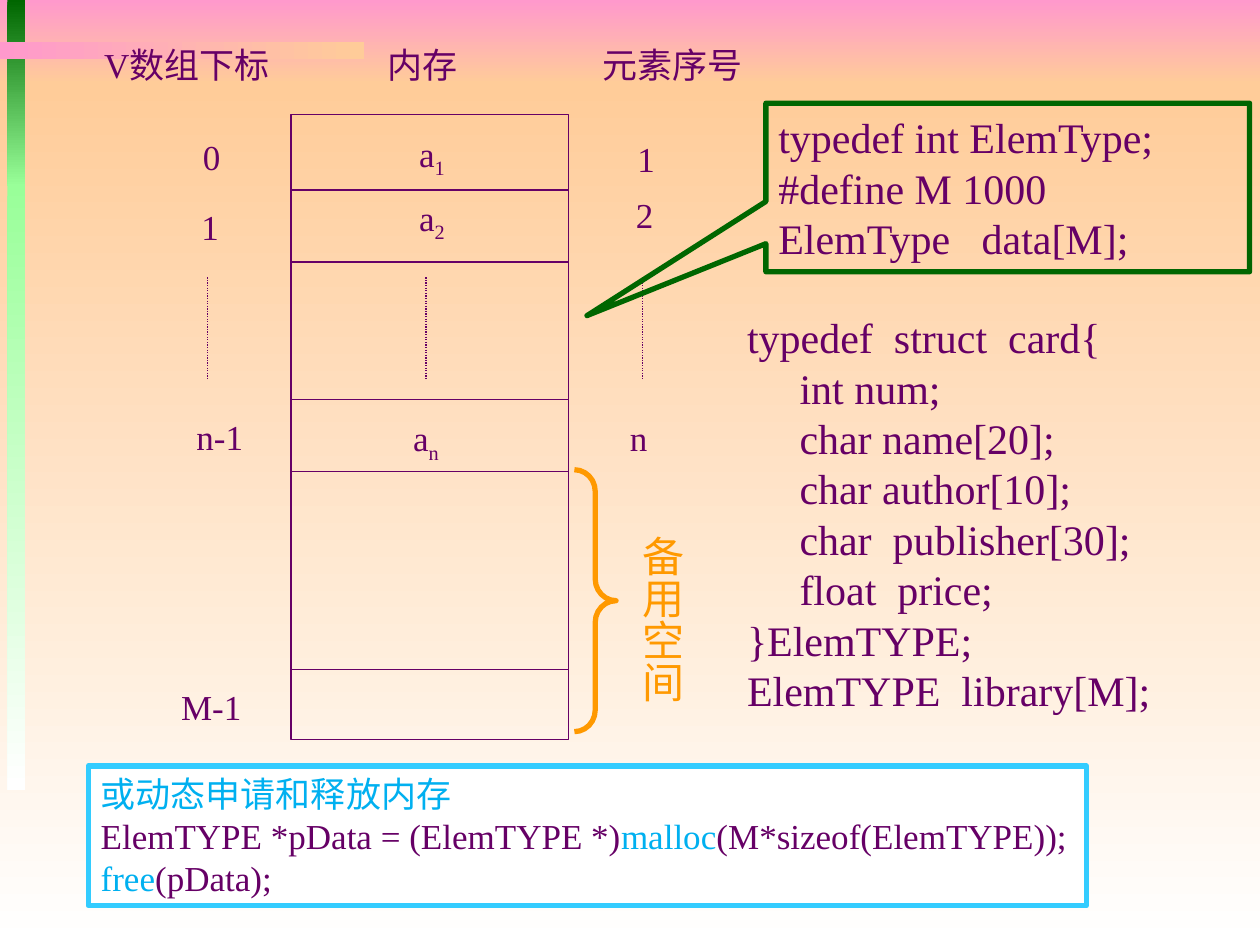
from lxml import etree
from pptx import Presentation
from pptx.dml.color import RGBColor
from pptx.enum.dml import MSO_LINE
from pptx.enum.shapes import MSO_CONNECTOR, MSO_SHAPE
from pptx.enum.text import MSO_ANCHOR, MSO_AUTO_SIZE, PP_ALIGN
from pptx.oxml.ns import qn
from pptx.util import Cm, Pt

PINK = RGBColor(0xFF, 0x99, 0xCC)
PEACH = RGBColor(0xFF, 0xCC, 0x99)
WHITE = RGBColor(0xFF, 0xFF, 0xFF)
DARK_GREEN = RGBColor(0x00, 0x66, 0x00)
LIGHT_GREEN = RGBColor(0x99, 0xFF, 0x99)
PURPLE = RGBColor(0x66, 0x00, 0x66)
ORANGE = RGBColor(0xFF, 0x99, 0x00)
SKY = RGBColor(0x33, 0xCC, 0xFF)
BLUE = RGBColor(0x00, 0xB0, 0xF0)

RECTANGLE = MSO_SHAPE.RECTANGLE
CALLOUT = MSO_SHAPE.RECTANGULAR_CALLOUT
BRACE = MSO_SHAPE.RIGHT_BRACE
STRAIGHT = MSO_CONNECTOR.STRAIGHT
DOTTED = MSO_LINE.ROUND_DOT
MIDDLE = MSO_ANCHOR.MIDDLE
GROW = MSO_AUTO_SIZE.SHAPE_TO_FIT_TEXT
LEFT = PP_ALIGN.LEFT

FONT = "Times New Roman"
DOWN, RIGHTWARD = 270, 0


def add_outline(page, kind, box, color, weight):
    shape = page.shapes.add_shape(kind, *map(Cm, box))
    shape.shadow.inherit = False
    shape.fill.background()
    shape.line.color.rgb = color
    shape.line.width = Pt(weight)
    return shape


def add_gradient(page, box, start, end, angle):
    shape = page.shapes.add_shape(RECTANGLE, *map(Cm, box))
    shape.shadow.inherit = False
    shape.line.fill.background()
    shape.fill.gradient()
    shape.fill.gradient_angle = angle
    for stop, color in zip(shape.fill.gradient_stops, (start, end)):
        stop.color.rgb = color


def add_line(page, x1, y1, x2, y2, dash=None):
    line = page.shapes.add_connector(STRAIGHT, Cm(x1), Cm(y1), Cm(x2), Cm(y2))
    line.line.color.rgb = PURPLE
    line.line.width = Pt(0.75)
    if dash:
        line.line.dash_style = dash
    etree.SubElement(line._element.spPr, qn("a:effectLst"))


def format_para(para, size, color):
    para.alignment = LEFT
    para.font.name = FONT
    para.font.size = Pt(size)
    para.font.color.rgb = color


def write_lines(frame, lines, size, color, wrap):
    frame.word_wrap = wrap
    frame.auto_size = GROW
    for index, line in enumerate(lines):
        para = frame.paragraphs[0] if index == 0 else frame.add_paragraph()
        para.text = line
        format_para(para, size, color)


def add_label(page, box, text, subscript="", wrap=False):
    frame = page.shapes.add_textbox(*map(Cm, box)).text_frame
    write_lines(frame, [text], 20, PURPLE, wrap)
    if subscript:
        span = frame.paragraphs[0].add_run()
        span.text = subscript
        span._r.get_or_add_rPr().set("baseline", "-25000")


def add_backdrop(page, box):
    left, top, width, height = box
    band = 1.7
    add_gradient(page, (left, top, width, band), PINK, PEACH, DOWN)
    add_gradient(page, (left, top + band, width, height - band), PEACH, WHITE, DOWN)
    add_gradient(page, (left + 0.15, top, 0.36, 3.76), DARK_GREEN, LIGHT_GREEN, DOWN)
    add_gradient(page, (left + 0.15, top + 3.71, 0.36, 12.22), LIGHT_GREEN, WHITE, DOWN)
    add_gradient(page, (left, top + 0.84, 7.34, 0.36), PINK, PEACH, RIGHTWARD)


def add_memory(page, box):
    left, top, width, height = box
    add_outline(page, RECTANGLE, box, PURPLE, 0.75)
    for offset in (1.52, 2.97, 5.74, 7.19, 11.18):
        add_line(page, left, top + offset, left + width, top + offset)
    for offset in (-1.68, 2.72, 7.08):
        add_line(page, left + offset, top + 3.28, left + offset, top + 5.34, DOTTED)
    headings = (("V数组下标", -4.02, 3.84, True), ("内存", 1.7, 1.93, False),
                ("元素序号", 6.02, 3.33, False))
    for text, offset, span_width, wrap in headings:
        add_label(page, (left + offset, top - 1.55, span_width, 1.09), text, wrap=wrap)
    labels = (
        ("0", "", -2.03, 0.3, 0.86), ("1", "", -2.06, 1.7, 0.86),
        ("n-1", "", -2.16, 5.94, 1.45), ("M-1", "", -2.47, 11.38, 1.73),
        ("a", "1", 2.33, 0.23, 1.07), ("a", "2", 2.33, 1.52, 1.07),
        ("a", "n", 2.21, 5.97, 1.07),
        ("1", "", 6.73, 0.33, 0.86), ("2", "", 6.7, 1.47, 0.86),
        ("n", "", 6.58, 5.97, 0.86),
    )
    for text, subscript, x, y, span_width in labels:
        add_label(page, (left + x, top + y, span_width, 1.09), text, subscript)


def add_spare_space(page, box):
    left, top, width, height = box
    brace = add_outline(page, BRACE, (left, top, 0.84, height), ORANGE, 3)
    brace.adjustments[0] = 0.52
    label = page.shapes.add_textbox(
        Cm(left + 0.86), Cm(top + 1.07), Cm(width - 0.86), Cm(3.94))
    write_lines(label.text_frame, ["备用空间"], 24, ORANGE, True)
    label.text_frame._txBody.bodyPr.set("vert", "eaVert")


def add_declaration(page, box):
    callout = add_outline(page, CALLOUT, box, DARK_GREEN, 3)
    callout.adjustments[0] = -0.87
    callout.adjustments[1] = 0.76
    callout.text_frame.vertical_anchor = MIDDLE
    lines = ["typedef int ElemType; #define M 1000", "ElemType   data[M];"]
    write_lines(callout.text_frame, lines, 24, PURPLE, True)


def add_struct_code(page, box):
    frame = page.shapes.add_textbox(*map(Cm, box)).text_frame
    frame.vertical_anchor = MIDDLE
    fields = ["int num;", "char name[20];", "char author[10];",
              "char  publisher[30];", "float  price;"]
    lines = ["typedef  struct  card{", *fields, "}ElemTYPE;", "ElemTYPE  library[M];"]
    write_lines(frame, lines, 24, PURPLE, False)
    for para in frame.paragraphs[1:1 + len(fields)]:
        para._p.get_or_add_pPr().set("marL", str(Pt(30)))


def add_dynamic_note(page, box):
    note = add_outline(page, RECTANGLE, box, SKY, 3)
    note.fill.solid()
    note.fill.fore_color.rgb = WHITE
    frame = note.text_frame
    frame.vertical_anchor = MIDDLE
    lines = (
        (("或动态申请和释放内存", BLUE),),
        (("ElemTYPE *pData = (ElemTYPE *)", PURPLE), ("malloc", BLUE),
         ("(M*sizeof(ElemTYPE));", PURPLE)),
        (("free", BLUE), ("(pData);", PURPLE)),
    )
    write_lines(frame, [""] * len(lines), 20, PURPLE, False)
    for para, spans in zip(frame.paragraphs, lines):
        for text, color in spans:
            span = para.add_run()
            span.text = text
            span.font.color.rgb = color


def main():
    deck = Presentation()
    deck.slide_width, deck.slide_height = Cm(25.4), Cm(19.05)
    page = deck.slides.add_slide(deck.slide_layouts[6])
    add_backdrop(page, (0, 0, 25.4, 19.05))
    add_memory(page, (5.87, 2.31, 5.59, 12.6))
    add_declaration(page, (15.44, 2.08, 9.75, 3.4))
    add_struct_code(page, (14.81, 6.12, 8.94, 8.46))
    add_spare_space(page, (11.58, 9.47, 2.39, 5.28))
    add_dynamic_note(page, (1.78, 15.44, 20.12, 2.82))
    deck.save("out.pptx")


if __name__ == "__main__":
    main()
